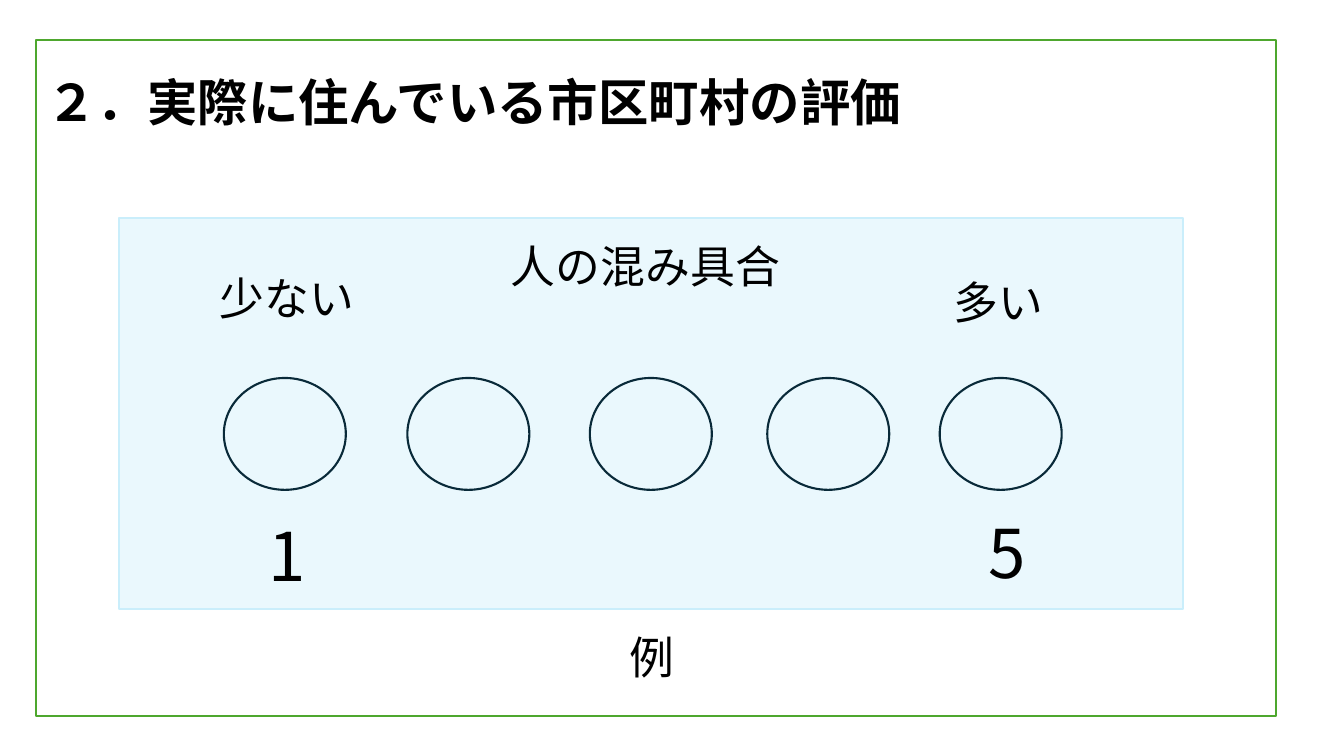
"""Build the slide that shows a five-point crowding scale for a municipality."""
from lxml.etree import SubElement
from pptx import Presentation
from pptx.dml.color import RGBColor
from pptx.enum.shapes import MSO_SHAPE as Preset
from pptx.enum.text import MSO_ANCHOR as Anchor, MSO_AUTO_SIZE as AutoSize, PP_ALIGN as Align
from pptx.oxml.ns import qn
from pptx.util import Inches, Pt

FONT = "Noto Sans CJK JP"
BLACK = RGBColor(0x00, 0x00, 0x00)
GREEN = RGBColor(0x4E, 0xA7, 0x2E)
PALE_BLUE = RGBColor(0xCA, 0xEE, 0xFB)
NAVY = RGBColor(0x09, 0x2A, 0x39)

CIRCLE_LEFTS = (2.22, 4.04, 5.85, 7.61, 9.32)
LABELS = (
    ("人の混み具合", 4.97, 2.32, 3.86, 0.64, 32),
    ("多い", 9.36, 2.68, 1.75, 0.64, 32),
    ("少ない", 2.08, 2.64, 1.96, 0.64, 32),
    ("1", 2.56, 5.05, 0.82, 0.91, 48),
    ("5", 9.71, 5.02, 0.82, 0.91, 48),
    ("例", 6.14, 6.2, 3.58, 0.64, 32),
)


def style_paragraph(paragraph, size, bold=False):
    paragraph.alignment = Align.LEFT
    font = paragraph.font
    font.name, font.size, font.bold = FONT, Pt(size), bold
    font.color.rgb = BLACK
    properties = paragraph._p.pPr.find(qn("a:defRPr"))
    SubElement(properties, qn("a:ea")).set("typeface", FONT)


def add_title(slide, text):
    title = slide.shapes.title
    title.left, title.top = Inches(0.36), Inches(0.47)
    title.width, title.height = Inches(11.74), Inches(1.14)
    frame = title.text_frame
    frame.text = text
    frame.vertical_anchor = Anchor.MIDDLE
    frame.paragraphs[0].line_spacing = 0.9
    style_paragraph(frame.paragraphs[0], 36, bold=True)


def add_outline(slide, preset, left, top, width, height, color):
    shape = slide.shapes.add_shape(
        preset, Inches(left), Inches(top), Inches(width), Inches(height))
    shape.shadow.inherit = False
    shape.fill.background()
    shape.line.color.rgb = color
    shape.line.width = Pt(1.5)
    return shape


def add_panel(slide):
    panel = add_outline(slide, Preset.RECTANGLE, 1.18, 2.16, 10.55, 3.88, PALE_BLUE)
    panel.fill.solid()
    panel.fill.fore_color.rgb = PALE_BLUE
    color = panel._element.spPr.find(qn("a:solidFill"))[0]
    SubElement(color, qn("a:alpha")).set("val", "39000")


def add_label(slide, text, left, top, width, height, size):
    box = slide.shapes.add_textbox(
        Inches(left), Inches(top), Inches(width), Inches(height))
    frame = box.text_frame
    frame.word_wrap = True
    frame.auto_size = AutoSize.SHAPE_TO_FIT_TEXT
    frame.text = text
    style_paragraph(frame.paragraphs[0], size)


def main():
    presentation = Presentation()
    presentation.slide_width, presentation.slide_height = Inches(13.33), Inches(7.5)
    slide = presentation.slides.add_slide(presentation.slide_layouts[5])
    add_title(slide, "２．実際に住んでいる市区町村の評価")
    add_panel(slide)
    add_outline(slide, Preset.RECTANGLE, 0.36, 0.4, 12.3, 6.7, GREEN)
    for left in CIRCLE_LEFTS:
        add_outline(slide, Preset.OVAL, left, 3.75, 1.21, 1.11, NAVY)
    for label in LABELS:
        add_label(slide, *label)
    presentation.save("out.pptx")


if __name__ == "__main__":
    main()
